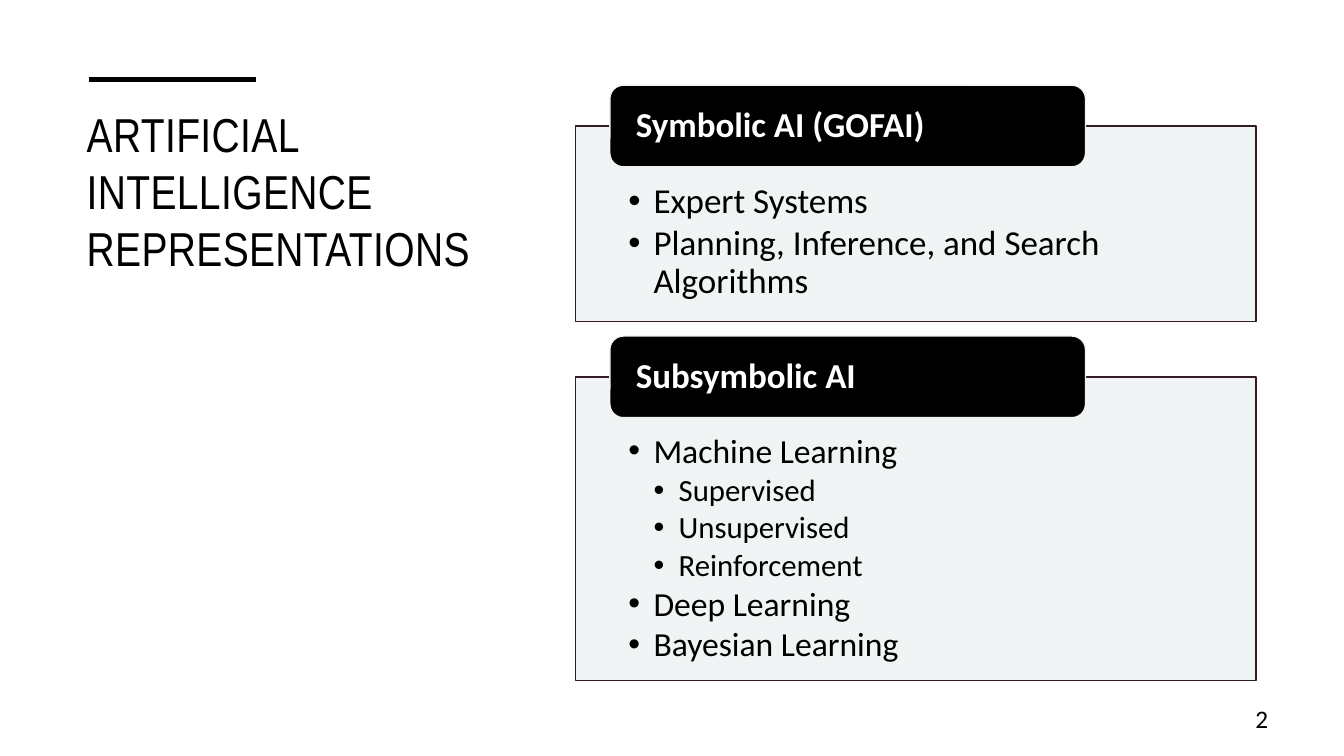
from dataclasses import dataclass

from pptx import Presentation
from pptx.dml.color import RGBColor
from pptx.enum import shapes as kinds, text as txt
from pptx.oxml import parse_xml
from pptx.oxml.ns import nsdecls, qn
from pptx.util import Pt

COLORS = {"ink": "000000", "paper": "FFFFFF", "panel": "F0F3F3", "edge": "301B27"}
BODY_FONT = "Calibri"
PANEL_LEFT, PANEL_WIDTH = 411.1, 486
TAB_LEFT, TAB_WIDTH, TAB_HEIGHT = 435.6, 339.8, 58.3
INDENT = 18


@dataclass(frozen=True)
class Item:
    wording: str
    size: float
    level: int = 1


@dataclass(frozen=True)
class Approach:
    heading: str
    top: float
    height: float
    items: tuple[Item, ...]


APPROACHES = (
    Approach("Symbolic AI (GOFAI)", 90, 139.7, (
        Item("Expert Systems", 25),
        Item("Planning, Inference, and Search Algorithms", 25),
    )),
    Approach("Subsymbolic AI", 269.2, 216.8, (
        Item("Machine Learning", 24),
        Item("Supervised", 22, 2),
        Item("Unsupervised", 22, 2),
        Item("Reinforcement", 22, 2),
        Item("Deep Learning", 24),
        Item("Bayesian Learning", 24),
    )),
)


def color(name: str) -> RGBColor:
    return RGBColor.from_string(COLORS[name])


def set_all(target, **values) -> None:
    for name, value in values.items():
        setattr(target, name, value)


def set_frame(frame, anchor, left: float, top: float, right: float, bottom: float) -> None:
    set_all(frame, word_wrap=True, auto_size=txt.MSO_AUTO_SIZE.NONE, vertical_anchor=anchor,
            margin_left=Pt(left), margin_top=Pt(top),
            margin_right=Pt(right), margin_bottom=Pt(bottom))


def write(paragraph, wording: str, size: float, ink: str = "ink", font: str = BODY_FONT,
          bold: bool = False, align=txt.PP_ALIGN.LEFT, spacing: float = 0.9, after: float = 0):
    set_all(paragraph, alignment=align, line_spacing=spacing, space_after=Pt(after))
    run = paragraph.add_run()
    run.text = wording
    set_all(run.font, name=font, size=Pt(size), bold=bold)
    run.font.color.rgb = color(ink)
    return run


def add_bullet(paragraph, level: int) -> None:
    properties = paragraph._p.get_or_add_pPr()
    properties.set("marL", str(Pt(INDENT * level)))
    properties.set("indent", str(Pt(-INDENT)))
    properties.append(parse_xml(f'<a:buFont {nsdecls("a")} typeface="Arial"/>'))
    properties.append(parse_xml(f'<a:buChar {nsdecls("a")} char="•"/>'))


def add_block(slide, preset, box: tuple[float, ...], fill: str, edge: str):
    block = slide.shapes.add_shape(preset, *map(Pt, box))
    block.shadow.inherit = False
    block.fill.solid()
    block.fill.fore_color.rgb = color(fill)
    block.line.color.rgb = color(edge)
    block.line.width = Pt(1)
    return block


def add_approach(slide, approach: Approach) -> None:
    """Draw a bulleted panel with its heading tab centred on the top edge."""
    panel = add_block(slide, kinds.MSO_SHAPE.RECTANGLE,
                      (PANEL_LEFT, approach.top, PANEL_WIDTH, approach.height), "panel", "edge")
    solid = panel._element.spPr.find(qn("a:solidFill"))
    solid[0].append(parse_xml(f'<a:alpha {nsdecls("a")} val="90000"/>'))
    frame = panel.text_frame
    set_frame(frame, txt.MSO_ANCHOR.TOP, 37.7, 41, 37.7, 12)
    for index, item in enumerate(approach.items):
        paragraph = frame.add_paragraph() if index else frame.paragraphs[0]
        write(paragraph, item.wording, item.size, after=3)
        add_bullet(paragraph, item.level)

    tab = add_block(slide, kinds.MSO_SHAPE.ROUNDED_RECTANGLE,
                    (TAB_LEFT, approach.top - TAB_HEIGHT / 2, TAB_WIDTH, TAB_HEIGHT),
                    "ink", "panel")
    set_frame(tab.text_frame, txt.MSO_ANCHOR.MIDDLE, 15.7, 0, 15.7, 0)
    write(tab.text_frame.paragraphs[0], approach.heading, 25, "paper", bold=True)


def add_title(slide) -> None:
    title = slide.shapes.title
    set_all(title, left=Pt(54.7), top=Pt(71.3), width=Pt(308.2), height=Pt(313.2))
    set_frame(title.text_frame, txt.MSO_ANCHOR.TOP, 7.2, 3.6, 7.2, 3.6)
    run = write(title.text_frame.paragraphs[0], "ARTIFICIAL INTELLIGENCE REPRESENTATIONS",
                34, font="Arial Narrow", spacing=1.0)
    run.font._element.set("spc", "30")


def add_accent(slide) -> None:
    accent = slide.shapes.add_connector(kinds.MSO_CONNECTOR.STRAIGHT,
                                        Pt(63.4), Pt(56.9), Pt(182.9), Pt(56.9))
    accent.line.color.rgb = color("ink")
    accent.line.width = Pt(3.5)
    accent._element.spPr.append(parse_xml(f'<a:effectLst {nsdecls("a")}/>'))


def add_page_number(slide) -> None:
    number = slide.shapes.add_textbox(Pt(859.7), Pt(500.4), Pt(53.3), Pt(28.8))
    set_frame(number.text_frame, txt.MSO_ANCHOR.MIDDLE, 7.2, 3.6, 7.2, 3.6)
    write(number.text_frame.paragraphs[0], "2", 18, align=txt.PP_ALIGN.RIGHT)


def main() -> None:
    deck = Presentation()
    set_all(deck, slide_width=Pt(960), slide_height=Pt(540))
    slide = deck.slides.add_slide(deck.slide_layouts.get_by_name("Title Only"))
    add_title(slide)
    add_accent(slide)
    add_page_number(slide)
    for approach in APPROACHES:
        add_approach(slide, approach)
    deck.save("out.pptx")


if __name__ == "__main__":
    main()
